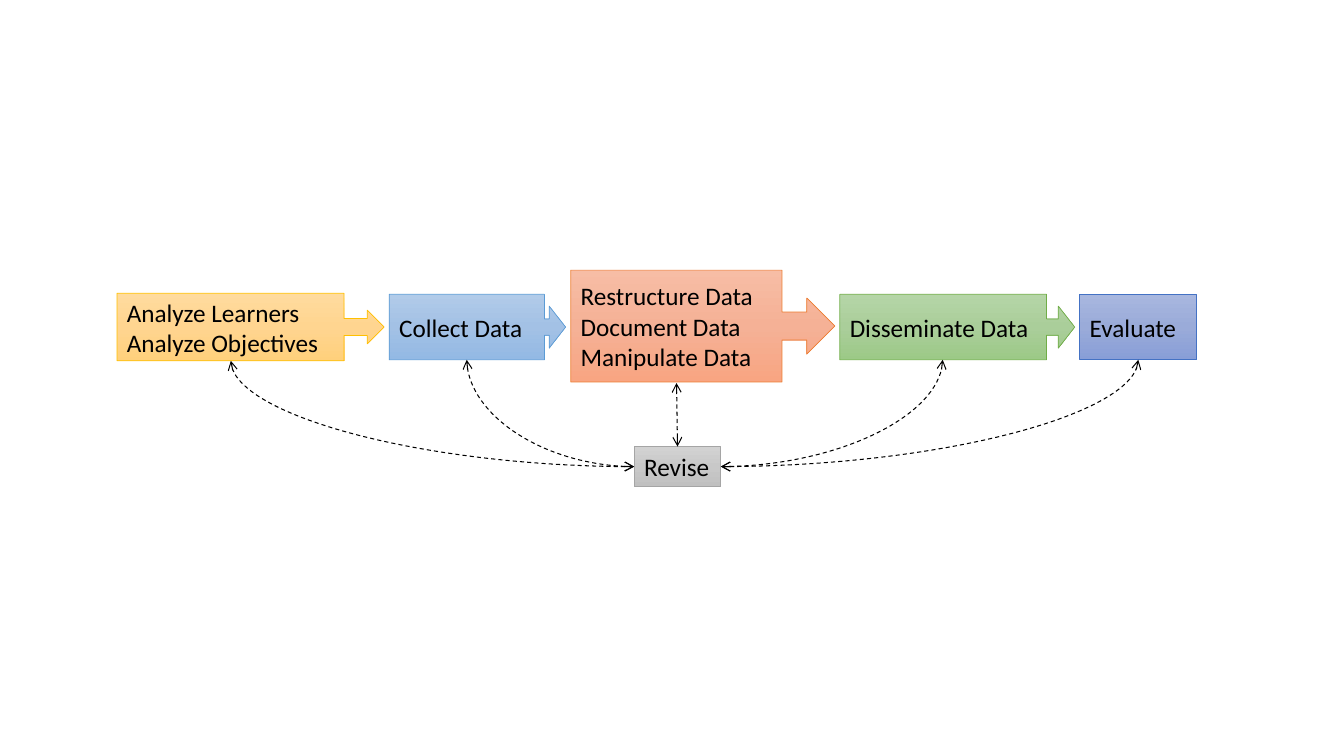
from copy import deepcopy
from dataclasses import dataclass

from pptx import Presentation
from pptx.dml.color import RGBColor
from pptx.enum.dml import MSO_LINE
from pptx.enum.shapes import MSO_CONNECTOR, MSO_SHAPE
from pptx.enum.text import MSO_ANCHOR, MSO_AUTO_SIZE, PP_ALIGN
from pptx.oxml.ns import qn
from pptx.util import Inches, Pt
from lxml import etree

RECT, CALLOUT = MSO_SHAPE.RECTANGLE, MSO_SHAPE.RIGHT_ARROW_CALLOUT
STRAIGHT, CURVE = MSO_CONNECTOR.STRAIGHT, MSO_CONNECTOR.CURVE
DASH, LEFT = MSO_LINE.DASH, PP_ALIGN.LEFT
TOP, MIDDLE = MSO_ANCHOR.TOP, MSO_ANCHOR.MIDDLE
FIT = MSO_AUTO_SIZE.SHAPE_TO_FIT_TEXT


@dataclass(frozen=True)
class Theme:
    """Fonts, sizes and colours; each tone is three gradient stops and a line."""
    font: str = "Calibri"
    size: float = 18
    edge: float = 0.5
    link: float = 0.75
    ink: str = "000000"
    gold: tuple = ("FFDB9E", "FFD590", "FFD07C", "FFC000")
    blue: tuple = ("B1CBE9", "A3C1E5", "93B9E4", "5B9BD5")
    coral: tuple = ("F7BDA5", "F5B196", "F8A582", "ED7D31")
    green: tuple = ("B5D5A7", "AACE9A", "9CC987", "70AD47")
    navy: tuple = ("A8B7DF", "9AABD9", "889ED7", "4472C4")
    gray: tuple = ("D2D2D2", "C8C8C8", "C0C0C0", "A5A5A5")


class Board:
    """Draws styled elements on one slide."""

    def __init__(self, slide, theme):
        """Keep the slide and its theme."""
        self.slide, self.theme = slide, theme

    def shade(self, fill, tones):
        """Fill from top to bottom with three evenly spaced colours."""
        fill.gradient()
        fill.gradient_angle = 270
        stops = fill.gradient_stops
        first = stops[0]._gs
        first.addnext(deepcopy(first))
        for i, (stop, tone) in enumerate(zip(fill.gradient_stops, tones)):
            stop.position = i / 2
            stop.color.rgb = RGBColor.from_string(tone)

    def box(self, kind, spot, text, tones, adjust=()):
        """Add a shaded shape with left-aligned lines of text."""
        theme = self.theme
        shape = self.slide.shapes.add_shape(kind, *map(Inches, spot))
        shape.shadow.inherit = False
        for i, value in enumerate(adjust):
            shape.adjustments[i] = value
        self.shade(shape.fill, tones[:3])
        shape.line.color.rgb = RGBColor.from_string(tones[3])
        shape.line.width = Pt(theme.edge)
        frame = shape.text_frame
        frame.text = text
        frame.vertical_anchor = MIDDLE
        for para in frame.paragraphs:
            para.alignment = LEFT
            para.font.name = theme.font
            para.font.size = Pt(theme.size)
            para.font.color.rgb = RGBColor.from_string(theme.ink)
        return shape

    def link(self, start, end, kind=CURVE):
        """Add a dashed two-headed link; a curve leaves sideways and ends upright."""
        line = self.slide.shapes.add_connector(
            kind, *map(Inches, (*start, *end)))
        line.line.color.rgb = RGBColor.from_string(self.theme.ink)
        line.line.width = Pt(self.theme.link)
        line.line.dash_style = DASH
        props = line._element.spPr
        if kind == CURVE:
            props.find(qn("a:prstGeom")).set("prst", "curvedConnector2")
        for tag in ("a:headEnd", "a:tailEnd"):
            etree.SubElement(props.find(qn("a:ln")), qn(tag), type="arrow")
        etree.SubElement(props, qn("a:effectLst"))


def main():
    """Build the process slide."""
    deck = Presentation()
    deck.slide_width, deck.slide_height = Inches(13.33), Inches(7.5)
    theme = Theme()
    board = Board(deck.slides.add_slide(deck.slide_layouts[6]), theme)

    slim = (0.25, 0.32, 0.25, 0.88)
    steps = [
        (CALLOUT, (1.16, 2.91, 2.65, 0.67),
         "Analyze Learners\nAnalyze Objectives", theme.gold,
         (0.25, 0.25, 0.25, 0.85)),
        (CALLOUT, (3.86, 2.92, 1.75, 0.65), "Collect Data", theme.blue, slim),
        (CALLOUT, (5.66, 2.68, 2.62, 1.11),
         "Restructure Data\nDocument Data\nManipulate Data", theme.coral,
         (0.25, 0.25, 0.25, 0.8)),
        (CALLOUT, (8.33, 2.92, 2.33, 0.65), "Disseminate Data", theme.green,
         slim),
        (RECT, (10.71, 2.92, 1.16, 0.65), "Evaluate", theme.navy, ()),
    ]
    for step in steps:
        board.box(*step)

    left, top, width, height = hub = (6.29, 4.43, 0.86, 0.4)
    revise = board.box(RECT, hub, "Revise", theme.gray)
    revise.text_frame.vertical_anchor = TOP
    revise.text_frame.word_wrap = False
    revise.text_frame.auto_size = FIT

    mid, right = top + height / 2, left + width
    for x, y in ((2.29, 3.58), (4.63, 3.57), (9.35, 3.57), (11.29, 3.57)):
        board.link((left if x < left else right, mid), (x, y))
    board.link((left + width / 2, top), (6.71, 3.8), STRAIGHT)

    deck.save("out.pptx")


main()
